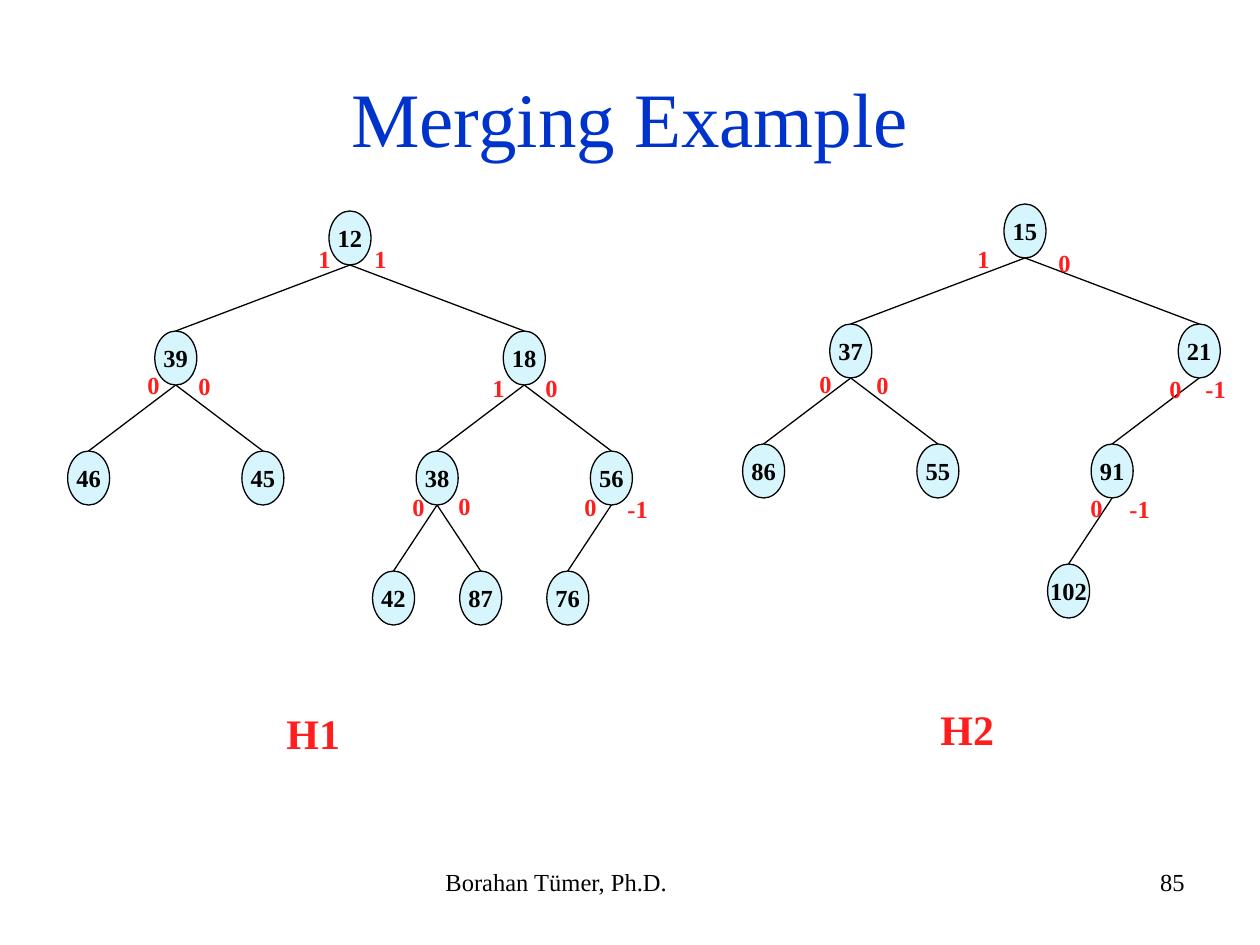
from lxml import etree
from pptx import Presentation, util as u
from pptx.dml.color import RGBColor
from pptx.enum import shapes, text
from pptx.oxml.ns import qn

BLUE = RGBColor(0x00, 0x33, 0xCC)
RED = RGBColor(0xFE, 0x1E, 0x1E)
PALE = RGBColor(0xD6, 0xF5, 0xFC)
BLACK = RGBColor(0, 0, 0)
LEFT, MID, RIGHT = text.PP_ALIGN.LEFT, text.PP_ALIGN.CENTER, text.PP_ALIGN.RIGHT


def px(*vals):
    """Turn px lengths (126 to the inch) into EMU."""
    return [round(v * 914400 / 126) for v in vals]


def write(shape, words, size, color, bold=False, align=LEFT, wrap=True,
          anchor=text.MSO_ANCHOR.TOP):
    frame = shape.text_frame
    frame.text = words
    frame.word_wrap = wrap
    frame.vertical_anchor = anchor
    par = frame.paragraphs[0]
    par.alignment = align
    font = par.runs[0].font
    for key, val in {"name": "Times New Roman", "size": u.Pt(size), "bold": bold}.items():
        setattr(font, key, val)
    font.color.rgb = color


prs = Presentation()
prs.slide_width, prs.slide_height = px(1260, 945)
slide = prs.slides.add_slide(prs.slide_layouts[5])
items = slide.shapes

title = items.title
title.left, title.top, title.width, title.height = px(63, 38, 1134, 157)
write(title, "Merging Example", 44, BLUE, align=MID, anchor=text.MSO_ANCHOR.MIDDLE)

# Each heap: root centre, root top, keys by slot (children of n are 2n and 2n + 1)
heaps = [
    (350, 211, {1: 12, 2: 39, 3: 18, 4: 46, 5: 45, 6: 38, 7: 56, 12: 42, 13: 87, 14: 76}),
    (1025, 204, {1: 15, 2: 37, 3: 21, 4: 86, 5: 55, 6: 91, 12: 102}),
]
NODE_W, NODE_H, STEP, SPAN = 42, 54, 120, 697

for root, top, keys in heaps:
    spots = {}
    for slot, key in keys.items():
        depth = slot.bit_length() - 1
        row = 2 ** depth
        x = root + SPAN / row * (slot - row - (row - 1) / 2)
        y = top + depth * STEP
        spots[slot] = x, y
        node = items.add_shape(shapes.MSO_SHAPE.OVAL, *px(x - NODE_W / 2, y, NODE_W, NODE_H))
        node.shadow.inherit = False
        node.fill.solid()
        node.fill.fore_color.rgb = PALE
        node.line.color.rgb = BLACK
        node.line.width = u.Pt(0.75)
        write(node, str(key), 14, BLACK, True, MID, False, text.MSO_ANCHOR.MIDDLE)
    for slot, (x, y) in spots.items():
        if slot == 1:
            continue
        up_x, up_y = spots[slot // 2]
        edge = items.add_connector(shapes.MSO_CONNECTOR.STRAIGHT, *px(up_x, up_y + NODE_H, x, y))
        edge.line.color.rgb = BLACK
        edge.line.width = u.Pt(0.75)
        etree.SubElement(edge._element.spPr, qn("a:effectLst"))

# Null path lengths beside the nodes: value, left, top
ranks = [
    ("1", 306, 238), ("1", 362, 238),
    ("0", 135, 364), ("0", 186, 365), ("1", 480, 367), ("0", 533, 367),
    ("0", 400, 486), ("0", 446, 485), ("0", 572, 486), ("-1", 615, 488),
    ("1", 965, 238), ("0", 1046, 242),
    ("0", 807, 363), ("0", 864, 364), ("0", 1157, 368), ("-1", 1193, 368),
    ("0", 1078, 487), ("-1", 1117, 488),
]
for rank, x, y in ranks:
    box = items.add_textbox(*px(x, y, 46 if rank == "-1" else 38, 43))
    write(box, rank, 14, RED, True, wrap=False)
    box.text_frame.auto_size = text.MSO_AUTO_SIZE.SHAPE_TO_FIT_TEXT

for name, x, y in [("H1", 274, 701), ("H2", 928, 697)]:
    write(items.add_textbox(*px(x, y, 97, 63)), name, 24, RED, True)

write(items.add_textbox(*px(433, 861, 399, 66)), "Borahan Tümer, Ph.D.", 14, BLACK)
write(items.add_textbox(*px(903, 861, 294, 66)), "85", 14, BLACK, align=RIGHT)

prs.save("out.pptx")
